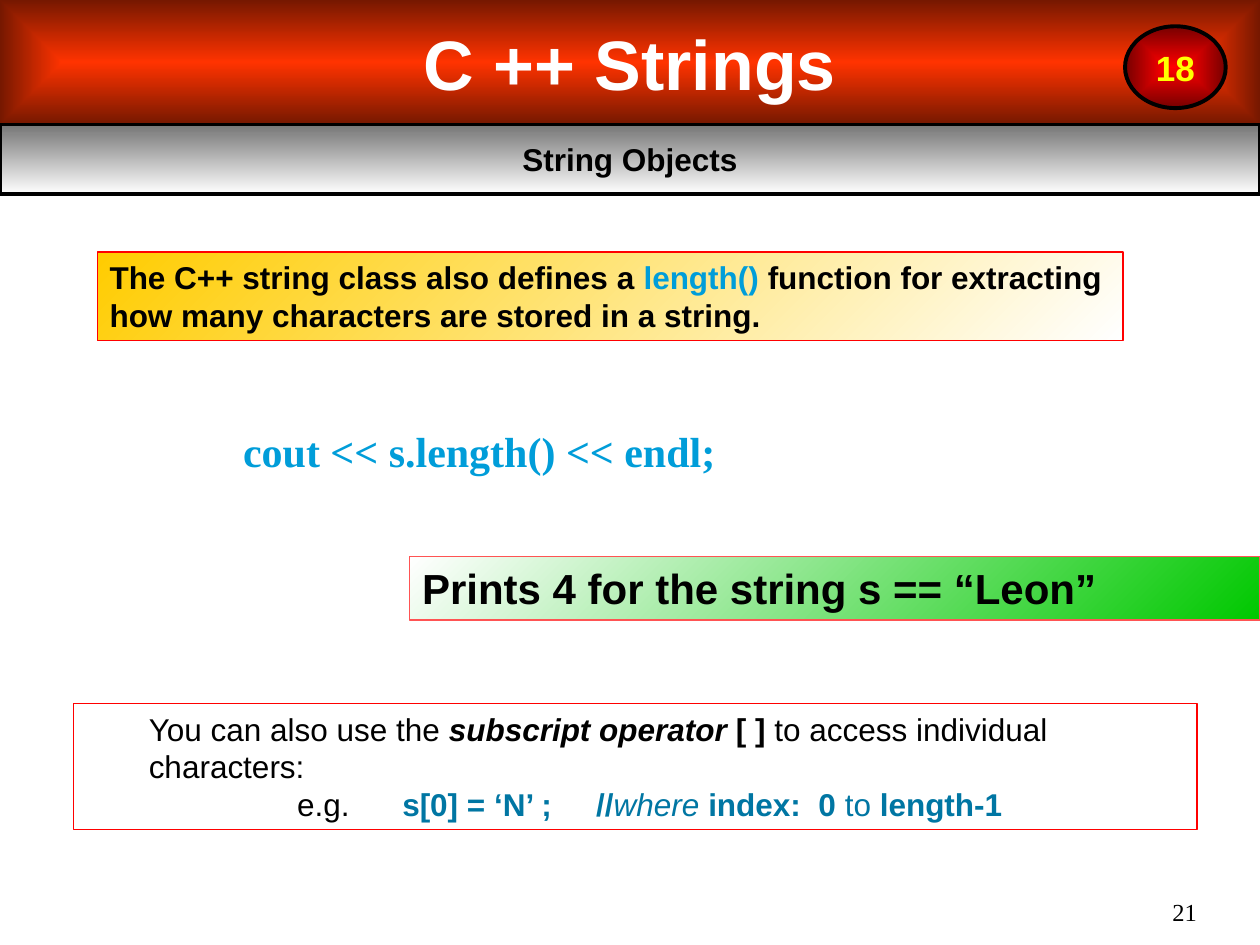
from lxml import etree
from pptx import Presentation
from pptx.dml.color import RGBColor
from pptx.enum.shapes import MSO_SHAPE
from pptx.enum.text import MSO_ANCHOR, PP_ALIGN
from pptx.oxml.ns import qn
from pptx.util import Cm, Pt

RECT, OVAL = MSO_SHAPE.RECTANGLE, MSO_SHAPE.OVAL
TOP, MIDDLE, BOTTOM = MSO_ANCHOR.TOP, MSO_ANCHOR.MIDDLE, MSO_ANCHOR.BOTTOM
LEFT, CENTER, RIGHT = PP_ALIGN.LEFT, PP_ALIGN.CENTER, PP_ALIGN.RIGHT

COLORS = {
    "black": "000000", "white": "FFFFFF", "yellow": "FFFF00", "red": "FF0000",
    "orange": "FF3300", "brown": "761800", "maroon": "760000", "gray": "767676",
    "gold": "FFCC00", "green": "00C800", "pink": "FF5353",
    "sky": "009DD9", "teal": "0076A3",
}


def rgb(name):
    return RGBColor.from_string(COLORS[name])


def write(box, paragraphs, size, color="black", bold=False, font="Arial",
          align=LEFT, anchor=TOP, wrap=True):
    """Fill a box; each paragraph is a list of (text, font overrides) runs."""
    frame = box.text_frame
    frame.word_wrap = wrap
    frame.vertical_anchor = anchor
    for number, runs in enumerate(paragraphs):
        paragraph = frame.add_paragraph() if number else frame.paragraphs[0]
        paragraph.alignment = align
        paragraph.font.name = font
        paragraph.font.size = Pt(size)
        paragraph.font.bold = bold
        paragraph.font.color.rgb = rgb(color)
        for text, style in runs:
            run = paragraph.add_run()
            run.text = text
            if "color" in style:
                run.font.color.rgb = rgb(style["color"])
            if "bold" in style:
                run.font.bold = style["bold"]
            if "italic" in style:
                run.font.italic = style["italic"]
    return frame.paragraphs


prs = Presentation()
prs.slide_width, prs.slide_height = Cm(25.4), Cm(19.05)
slide = prs.slides.add_slide(prs.slide_layouts[6])

# Panels: shape, place, gradient (None = no fill), angle (None = from centre), line
panels = [
    (RECT, (0, 0, 25.4, 2.51), ("orange", "brown"), None, None),
    (RECT, (0, 2.51, 25.4, 1.4), ("gray", "white"), 270, ("black", 2.25)),
    (OVAL, (22.68, 0.53, 2.03, 1.65), ("red", "maroon"), None, ("black", 2.25)),
    (RECT, (8.26, 11.22, 17.14, 1.28), ("white", "green"), 315, ("pink", 0.75)),
    (RECT, (1.96, 5.08, 20.68, 1.78), ("gold", "white"), 315, ("red", 0.75)),
    (RECT, (1.48, 14.18, 22.65, 2.54), None, None, ("red", 0.75)),
]
boxes = []
for kind, place, gradient, angle, line in panels:
    panel = slide.shapes.add_shape(kind, *map(Cm, place))
    panel.shadow.inherit = False
    if gradient:
        panel.fill.gradient()
        for stop, color in zip(panel.fill.gradient_stops, gradient):
            stop.color.rgb = rgb(color)
        if angle is None:
            linear = next(panel.element.iter(qn("a:lin")))
            radial = etree.Element(qn("a:path"), path="rect")
            etree.SubElement(radial, qn("a:fillToRect"),
                             l="50000", t="50000", r="50000", b="50000")
            linear.getparent().replace(linear, radial)
        else:
            panel.fill.gradient_angle = angle
    else:
        panel.fill.background()
    if line:
        panel.line.color.rgb = rgb(line[0])
        panel.line.width = Pt(line[1])
    else:
        panel.line.fill.background()
    boxes.append(panel)
title, subtitle, badge, result, definition, subscript = boxes

# Header
write(title, [[("C ++ Strings", {})]], 40, "white", True, align=CENTER, anchor=MIDDLE)
write(subtitle, [[("String Objects", {})]], 18, bold=True, align=CENTER, anchor=MIDDLE)
write(badge, [[("18", {})]], 20, "yellow", True, align=CENTER, anchor=MIDDLE, wrap=False)

# Definition of length() and its result
write(definition, [
    [("The C++ string class also defines a ", {}),
     ("length()", {"color": "sky"}),
     (" function for extracting", {})],
    [("how many characters are stored in a string.", {})],
], 18, bold=True, wrap=False)
write(result, [[("Prints 4 for the string s == “Leon”", {})]], 24, bold=True)

# Code line
code = slide.shapes.add_textbox(Cm(2.11), Cm(8.46), Cm(22.22), Cm(1.27))
code_line, = write(code, [[("cout << s.length() << endl;", {})]], 24, "sky", True,
                   font="Times New Roman")
code_line._p.get_or_add_pPr().set("marL", str(Cm(2.54)))

# Subscript operator, with its example on tab stops
teal, strong = {"color": "teal"}, {"color": "teal", "bold": True}
intro, example = write(subscript, [
    [("You can also use the ", {}),
     ("subscript operator ", {"bold": True, "italic": True}),
     ("[ ] ", {"bold": True}),
     ("to access individual characters:", {})],
    [("\te.g.\t", {}),
     ("s[0] = ‘N’ ;\t//", strong),
     ("where", {"color": "teal", "italic": True}),
     (" index:  0", strong),
     (" to ", teal),
     ("length-1", strong)],
], 18)
intro._p.get_or_add_pPr().set("marL", str(Cm(1.27)))
tabs = etree.Element(qn("a:tabLst"))
for position in (4.26, 6.38, 10.29):
    etree.SubElement(tabs, qn("a:tab"), pos=str(Cm(position)), algn="l")
example._p.get_or_add_pPr().insert(0, tabs)

# Page number
page = slide.shapes.add_textbox(Cm(22.02), Cm(17.65), Cm(2.11), Cm(1.02))
margins = page.text_frame
margins.margin_left = margins.margin_right = margins.margin_top = margins.margin_bottom = 0
write(page, [[("21", {})]], 14, font="Times New Roman", align=RIGHT, anchor=BOTTOM)

prs.save("out.pptx")
